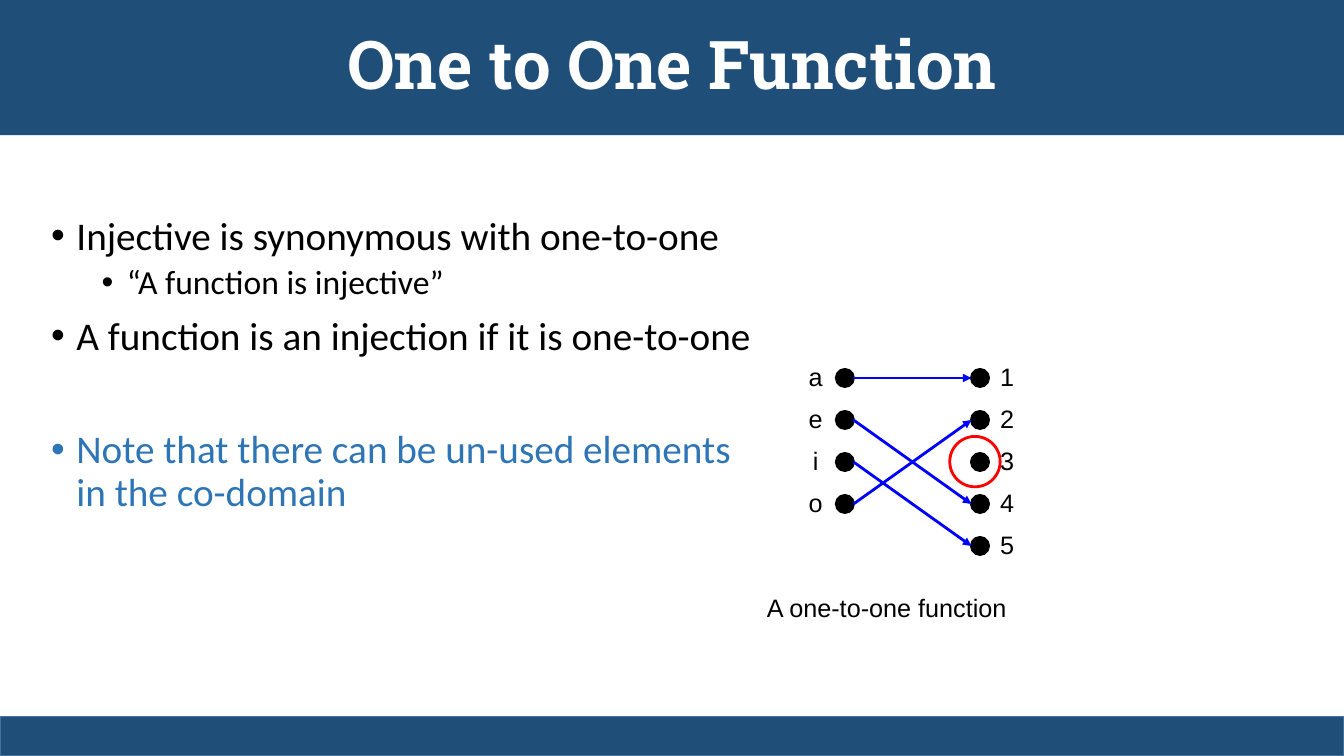
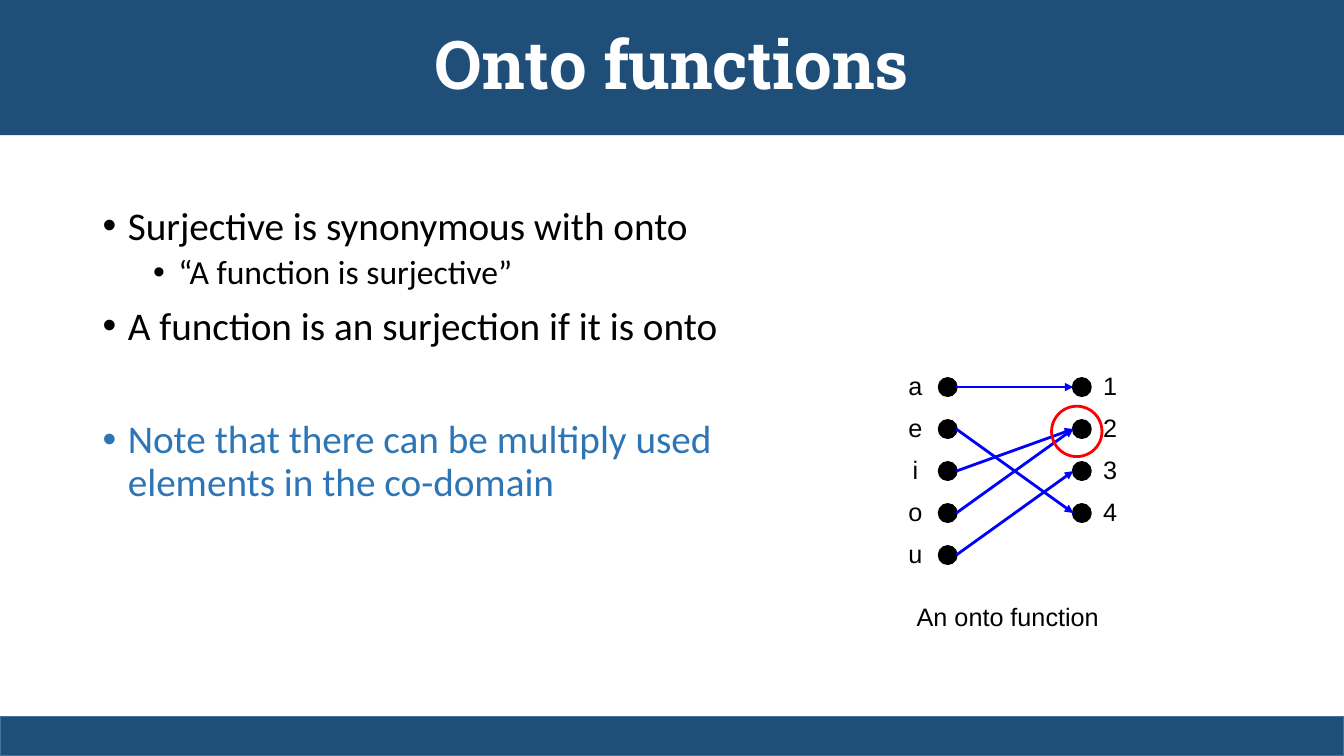
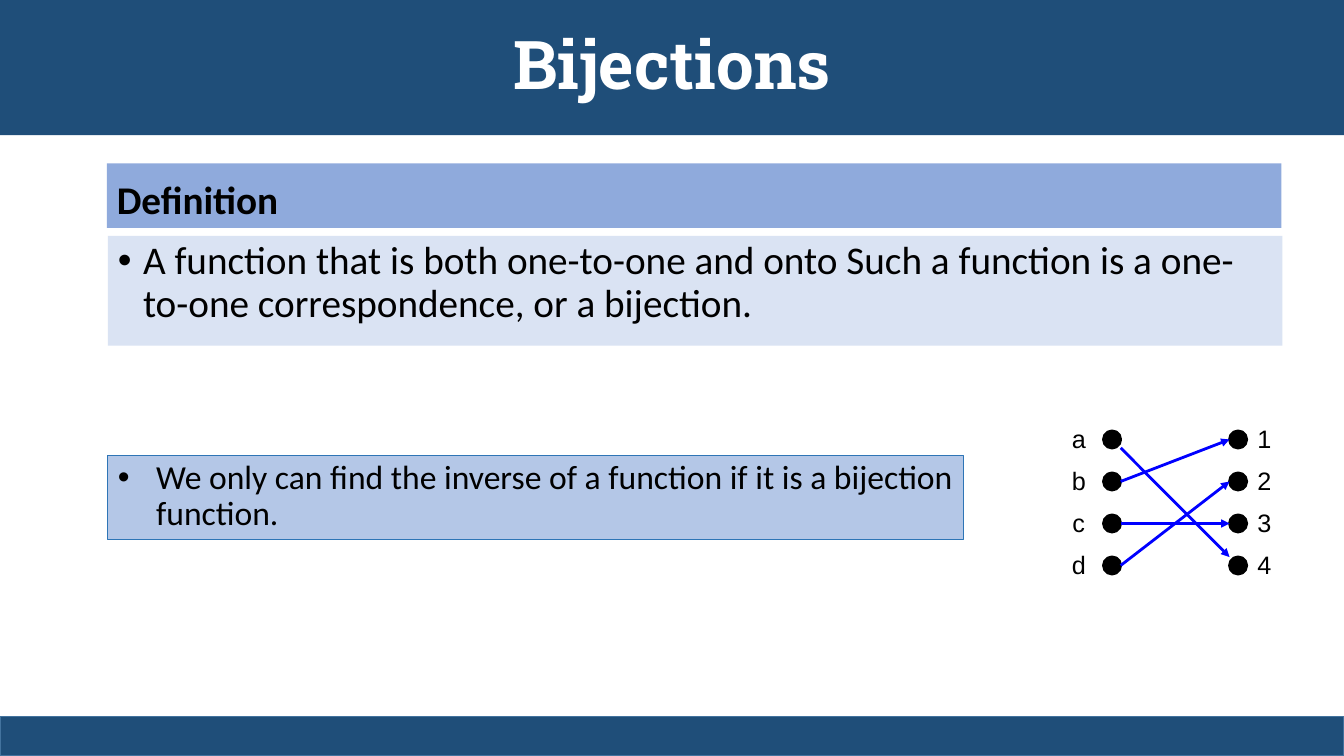
"""Build three slides on one-to-one, onto and bijective functions."""
import pptx
import pptx.util
import pptx.dml.color
import pptx.enum.shapes
import pptx.enum.text
import pptx.oxml.ns
import lxml.etree

Inches = pptx.util.Inches
Pt = pptx.util.Pt
RGBColor = pptx.dml.color.RGBColor
Kind = pptx.enum.shapes.MSO_SHAPE
Align = pptx.enum.text.PP_ALIGN
Anchor = pptx.enum.text.MSO_ANCHOR
qn = pptx.oxml.ns.qn

NAVY = RGBColor(0x1F, 0x4E, 0x79)
EDGE = RGBColor(0x43, 0x73, 0x9E)
NOTE = RGBColor(0x2E, 0x75, 0xB6)
HEAD = RGBColor(0x8F, 0xAA, 0xDC)
PALE = RGBColor(0xDA, 0xE3, 0xF3)
SOFT = RGBColor(0xB4, 0xC7, 0xE7)
BLUE = RGBColor(0x00, 0x00, 0xFF)
RED = RGBColor(0xFF, 0x00, 0x00)
BLACK = RGBColor(0x00, 0x00, 0x00)
WHITE = RGBColor(0xFF, 0xFF, 0xFF)

WIDE, HIGH = 13.33, 7.5
STEP = 1.25 / 3
DOT = 0.17


def draw(slide, kind, box, fill=None, line=None, width=2):
    """Add a flat shape with an optional fill and outline."""
    shape = slide.shapes.add_shape(kind, *map(Inches, box))
    shape.shadow.inherit = False
    for part, tint in ((shape.fill, fill), (shape.line.fill, line)):
        if tint is None:
            part.background()
        else:
            part.solid()
            part.fore_color.rgb = tint
    if line is not None:
        shape.line.width = Pt(width)
    return shape


def write(frame, rows, font="Calibri", space=0.9, align=Align.LEFT, bold=False):
    """Fill a frame from rows of text, size, ink, margin, hang and space before."""
    for i, (text, size, ink, margin, hang, before) in enumerate(rows):
        para = frame.paragraphs[0] if i == 0 else frame.add_paragraph()
        para.text = text
        if hang:
            props = para._p.get_or_add_pPr()
            props.set("marL", str(Inches(margin)))
            props.set("indent", str(-Inches(hang)))
            lxml.etree.SubElement(props, qn("a:buFont")).set("typeface", "Arial")
            lxml.etree.SubElement(props, qn("a:buChar")).set("char", "•")
        para.alignment = align
        para.line_spacing = space
        para.space_before = Pt(before)
        for run in para.runs:
            run.font.name = font
            run.font.size = Pt(size)
            run.font.bold = bold
            run.font.color.rgb = ink


PAGES = [
    {
        "title": "One to One Function",
        "body": (0.41, 2.1, 7.93, 4.76),
        "lines": ["Injective is synonymous with one-to-one",
                  "“A function is injective”",
                  "A function is an injection if it is one-to-one",
                  "Note that there can be un-used elements\vin the co-domain"],
        "left": 8.38, "right": 9.72, "top": 3.75,
        "tags": [(7.92, "aeio"), (9.82, "12345")],
        "arrows": [(0, 0), (1, 3), (3, 1), (2, 4)],
        "ring": (9.42, 4.33),
        "label": ("A one-to-one function", (7.5, 5.83, 2.59, 0.4)),
    },
    {
        "title": "Onto functions",
        "body": (0.92, 2, 11.5, 4.76),
        "lines": ["Surjective is synonymous with onto",
                  "“A function is surjective”",
                  "A function is an surjection if it is onto",
                  "Note that there can be multiply used\velements in the co-domain"],
        "left": 9.4, "right": 10.73, "top": 3.84,
        "tags": [(8.91, "aeiou"), (10.84, "1234")],
        "arrows": [(0, 0), (1, 3), (3, 1), (2, 1), (4, 2)],
        "ring": (10.43, 4.03),
        "label": ("An onto function", (8.99, 5.92, 2.01, 0.4)),
    },
    {
        "title": "Bijections",
        "left": 11.03, "right": 12.28, "top": 4.36,
        "tags": [(10.53, "abcd"), (12.37, "1234")],
        "arrows": [(2, 2), (0.2, 2.8), (3, 1), (1, 0)],
    },
]

CARDS = [
    ((1.06, 1.62, 11.65, 0.64), HEAD, None, 1.14, True,
     ("Definition", 28, BLACK, 0, 0, 0)),
    ((1.07, 2.34, 11.65, 1.09), PALE, None, 0.9, False,
     ("A function that is both one-to-one and onto Such a function is a "
      "one-to-one correspondence, or a bijection.", 28, BLACK, 0.25, 0.25, 0)),
    ((1.07, 4.52, 8.49, 0.83), SOFT, NOTE, 0.9, False,
     ("We only can find the inverse of a function if it is a bijection function.",
      24, BLACK, 0.38, 0.38, 0)),
]

deck = pptx.Presentation()
deck.slide_width = Inches(WIDE)
deck.slide_height = Inches(HIGH)

for page in PAGES:
    slide = deck.slides.add_slide(deck.slide_layouts[5])
    title = slide.shapes.title
    title.left, title.top = Inches(0), Inches(0)
    title.width, title.height = Inches(WIDE), Inches(1.34)
    title.fill.solid()
    title.fill.fore_color.rgb = NAVY
    title.text_frame.auto_size = pptx.enum.text.MSO_AUTO_SIZE.NONE
    title.text_frame.vertical_anchor = Anchor.MIDDLE
    write(title.text_frame, [(page["title"], 48, WHITE, 0, 0, 0)],
          "Roboto Slab", align=Align.CENTER, bold=True)
    draw(slide, Kind.RECTANGLE, (0, 7.11, WIDE, 0.39), NAVY, EDGE, 1)

    if "lines" in page:
        body = slide.shapes.add_textbox(*map(Inches, page["body"])).text_frame
        body.word_wrap = True
        looks = [(28, BLACK, 0.25, 0.25, 0), (24, BLACK, 0.75, 0.25, 5),
                 (28, BLACK, 0.25, 0.25, 10), (28, NOTE, 0.25, 0.25, 51)]
        write(body, [(text, *look) for text, look in zip(page["lines"], looks)])
    else:
        for box, fill, line, space, bold, row in CARDS:
            card = draw(slide, Kind.RECTANGLE, box, fill, line, 0.75).text_frame
            card.word_wrap = True
            card.vertical_anchor = Anchor.TOP
            write(card, [row], space=space, bold=bold)

    left, right, top = page["left"], page["right"], page["top"]
    for mid, (tab, names) in zip((left, right), page["tags"]):
        for i in range(len(names)):
            draw(slide, Kind.OVAL, (mid - DOT / 2, top + i * STEP - DOT / 2, DOT, DOT),
                 BLACK, BLACK)
        tags = slide.shapes.add_textbox(
            Inches(tab), Inches(top - 0.33), Inches(0.34),
            Inches(len(names) * STEP + 0.1)).text_frame
        tags.word_wrap = False
        write(tags, [(name, 18, BLACK, 0, 0, 0) for name in names],
              "Arial", Pt(30), Align.CENTER)

    for start, end in page["arrows"]:
        arrow = slide.shapes.add_connector(
            pptx.enum.shapes.MSO_CONNECTOR.STRAIGHT,
            Inches(left + DOT / 2), Inches(top + start * STEP),
            Inches(right - DOT / 2), Inches(top + end * STEP))
        arrow.line.color.rgb = BLUE
        arrow.line.width = Pt(2)
        tip = lxml.etree.SubElement(arrow.line._get_or_add_ln(), qn("a:tailEnd"))
        tip.set("type", "triangle")
        lxml.etree.SubElement(arrow._element.spPr, qn("a:effectLst"))

    if "ring" in page:
        draw(slide, Kind.OVAL, (*page["ring"], 0.5, 0.5), None, RED)
        text, box = page["label"]
        label = slide.shapes.add_textbox(*map(Inches, box)).text_frame
        label.word_wrap = False
        write(label, [(text, 18, BLACK, 0, 0, 0)], "Arial", 1.0, Align.CENTER)

deck.save("out.pptx")
